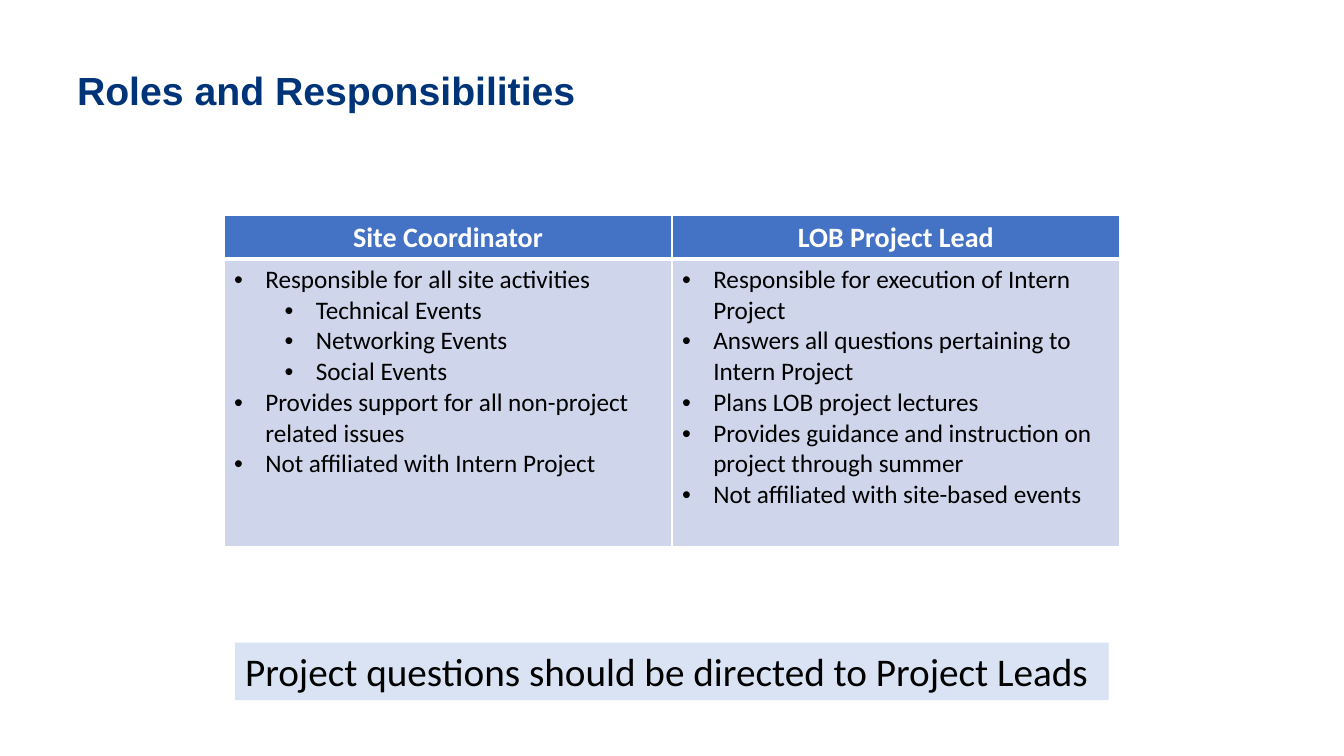
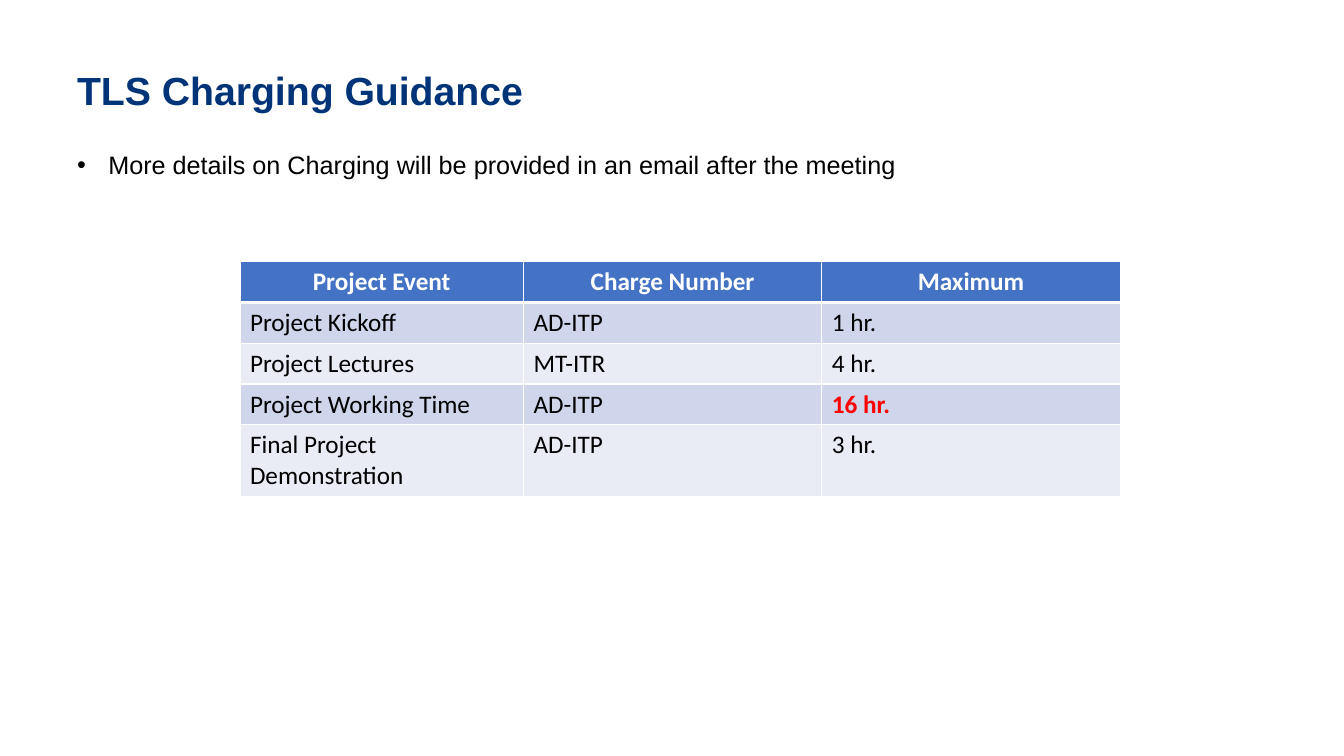
from lxml.etree import SubElement
from pptx import Presentation
from pptx.dml.color import RGBColor
from pptx.enum.shapes import MSO_SHAPE
from pptx.enum.text import MSO_ANCHOR, PP_ALIGN
from pptx.oxml.ns import qn
from pptx.util import Inches, Pt

HEX = {
    "navy": "003478", "blue": "4472C4", "band": "CFD5EA", "pale": "E9EBF5",
    "note": "DAE3F3", "white": "FFFFFF", "black": "000000", "red": "FF0000",
}


def tint(name):
    return RGBColor.from_string(HEX[name])


class Deck:
    """Shared style and current slide; places are percent of the slide size."""

    def __init__(self):
        self.prs = Presentation()
        self.prs.slide_width = Inches(13.33)
        self.prs.slide_height = Inches(7.5)
        self.page = None

    def across(self, share):
        return round(self.prs.slide_width * share / 100)

    def down(self, share):
        return round(self.prs.slide_height * share / 100)

    def place(self, x, y, w, h):
        return self.across(x), self.down(y), self.across(w), self.down(h)

    def ink(self, para, size, color="black", bold=False, face="Calibri"):
        for run in para.runs:
            font = run.font
            font.size, font.bold, font.name = Pt(size), bold, face
            font.color.rgb = tint(color)

    def bullet(self, para, level=0):
        para.level = level
        props = para._p.get_or_add_pPr()
        props.set("marL", str(Inches(0.31 + level / 2)))
        props.set("indent", str(-Inches(0.31)))
        SubElement(props, qn("a:buFont"), typeface="Arial")
        SubElement(props, qn("a:buChar"), char="•")

    def text(self, words, box):
        frame = self.page.shapes.add_textbox(*self.place(*box)).text_frame
        frame.word_wrap = True
        frame.text = words
        frame.paragraphs[0].line_spacing = 0.9
        return frame

    def slide(self, title):
        self.page = self.prs.slides.add_slide(self.prs.slide_layouts[6])
        frame = self.text(title, (5, 7.33, 90, 10))
        frame.vertical_anchor = MSO_ANCHOR.MIDDLE
        self.ink(frame.paragraphs[0], 28, "navy", True, "Arial")

    def point(self, words, box):
        para = self.text(words, box).paragraphs[0]
        self.bullet(para)
        self.ink(para, 18, face="Arial")

    def note(self, words, box):
        shape = self.page.shapes.add_shape(MSO_SHAPE.RECTANGLE, *self.place(*box))
        shape.shadow.inherit = False
        shape.fill.solid()
        shape.fill.fore_color.rgb = tint("note")
        shape.line.fill.background()
        frame = shape.text_frame
        frame.word_wrap = True
        frame.text = words
        frame.paragraphs[0].alignment = PP_ALIGN.LEFT
        self.ink(frame.paragraphs[0], 28)

    def cell(self, cell, fill, head):
        # White borders, with a thick rule under the header
        props = cell._tc.get_or_add_tcPr()
        for side in "LRTB":
            width = 3 if head and side == "B" else 1
            line = SubElement(props, qn(f"a:ln{side}"), w=str(Pt(width)))
            paint = SubElement(line, qn("a:solidFill"))
            SubElement(paint, qn("a:srgbClr"), val=HEX["white"])
        cell.fill.solid()
        cell.fill.fore_color.rgb = tint(fill)

    def table(self, data, spot, cols, rows, size=18, marks=False, hot=()):
        """A list in a cell gives paragraphs; a leading tab means one level in."""
        box = (*spot, sum(cols), sum(rows))
        grid = self.page.shapes.add_table(
            len(rows), len(cols), *self.place(*box)).table
        for col, share in zip(grid.columns, cols):
            col.width = self.across(share)
        for r, (line, share) in enumerate(zip(data, rows)):
            grid.rows[r].height = self.down(share)
            head = r == 0
            fill = "blue" if head else "band" if r % 2 else "pale"
            for c, items in enumerate(line):
                cell = grid.cell(r, c)
                self.cell(cell, fill, head)
                items = [items] if isinstance(items, str) else items
                cell.text_frame.text = "\n".join(t.strip() for t in items)
                for para, item in zip(cell.text_frame.paragraphs, items):
                    if head:
                        para.alignment = PP_ALIGN.CENTER
                        self.ink(para, size, "white", True)
                        continue
                    if marks:
                        self.bullet(para, item.count("\t"))
                    alert = (r, c) in hot
                    self.ink(para, 18, "red" if alert else "black", alert)


def main():
    deck = Deck()

    # Roles
    deck.slide("Roles and Responsibilities")
    site = [
        "Responsible for all site activities",
        "\tTechnical Events", "\tNetworking Events", "\tSocial Events",
        "Provides support for all non-project related issues",
        "Not affiliated with Intern Project",
    ]
    lead = [
        "Responsible for execution of Intern Project",
        "Answers all questions pertaining to Intern Project",
        "Plans LOB project lectures",
        "Provides guidance and instruction on project through summer",
        "Not affiliated with site-based events",
    ]
    deck.table([["Site Coordinator", "LOB Project Lead"], [site, lead]],
               (16.67, 28.5), [33.33] * 2, [5.8, 38], size=20, marks=True)
    deck.note("Project questions should be directed to Project Leads",
              (17.5, 85, 65, 7.6))

    # Charging
    deck.slide("TLS Charging Guidance")
    deck.point("More details on Charging will be provided in an email "
               "after the meeting", (5, 19.5, 90, 6))
    hours = [
        ["Project Event", "Charge Number", "Maximum"],
        ["Project Kickoff", "AD-ITP", "1 hr."],
        ["Project Lectures", "MT-ITR", "4 hr."],
        ["Project Working Time", "AD-ITP", "16 hr."],
        ["Final Project Demonstration", "AD-ITP", "3 hr."],
    ]
    deck.table(hours, (17.85, 34.6), [21.1, 22.2, 22.2],
               [5.4] * 4 + [9.5], hot={(3, 2)})

    deck.prs.save("out.pptx")


if __name__ == "__main__":
    main()
